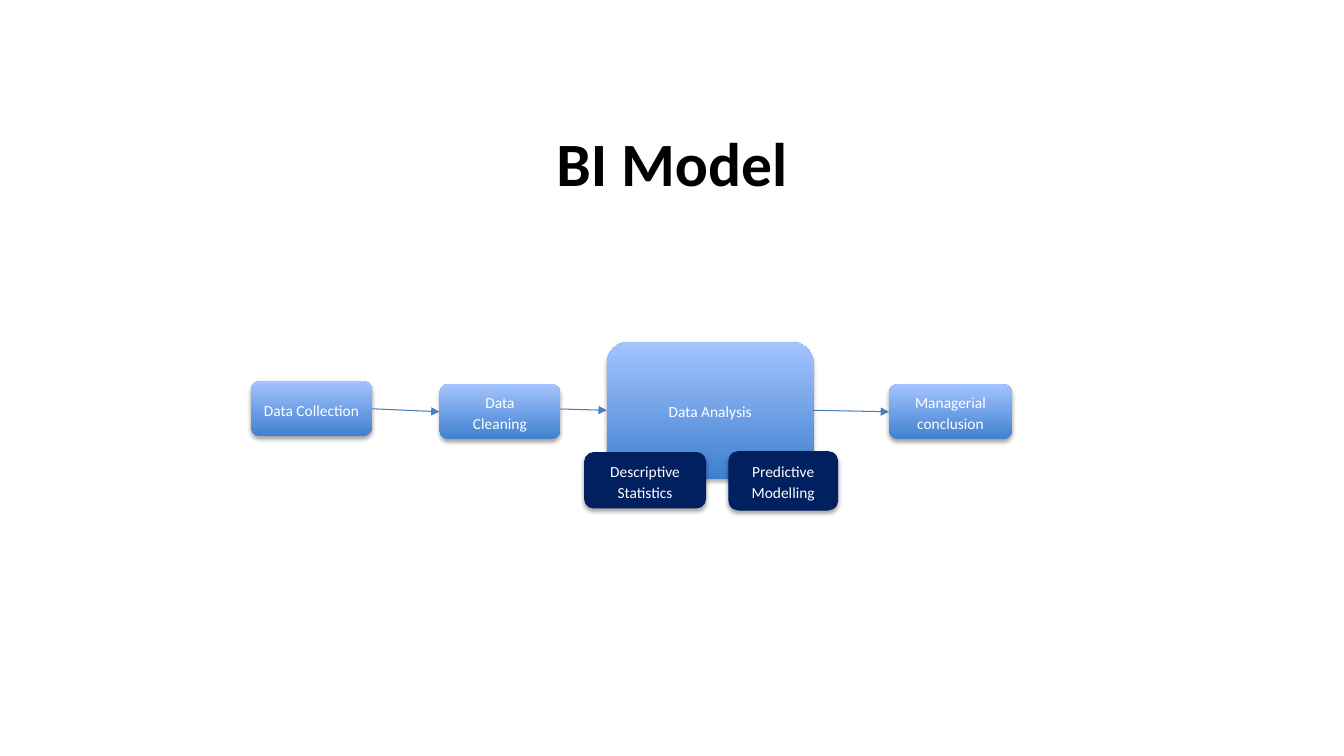
"""Build the BI Model slide: a four-step flow with two analysis methods."""
import pptx
import pptx.dml.color
import pptx.enum.shapes
import pptx.enum.text
import pptx.oxml
import pptx.oxml.ns
import pptx.util

TITLE = "BI Model"
TITLE_AREA = (5, 13.07, 90, 16.67)
STEPS = [
    ("Data Collection", (18.68, 50.4, 9, 7.33)),
    ("Data\nCleaning", (32.7, 50.8, 9, 7.33)),
    ("Data Analysis", (45.15, 45.2, 15.38, 18.13)),
    ("Managerial\nconclusion", (66.15, 50.8, 9.15, 7.33)),
]
METHODS = [
    ("Descriptive Statistics", (43.5, 59.87, 9, 7.33)),
    ("Predictive Modelling", (54.23, 59.73, 8.1, 7.73)),
]
ARROW_HEIGHTS = [(54.07, 54.47), (54.1, 54.27), (54.27, 54.47)]
COLORS = {"title": "000000", "text": "FFFFFF", "bottom": "3F80CE",
          "top": "A4C4FF", "method": "002060", "arrow": "4B7EBC"}
FONT = "Calibri"
WIDTH, HEIGHT = pptx.util.Inches(13.333), pptx.util.Inches(7.5)
SHADOW = (
    '<a:effectLst %s><a:outerShdw blurRad="39370" dist="22860" dir="5400000" rotWithShape="0">'
    '<a:srgbClr val="000000"><a:alpha val="35000"/></a:srgbClr></a:outerShdw></a:effectLst>'
    % pptx.oxml.ns.nsdecls("a"))
NO_EFFECT = "<a:effectLst %s/>" % pptx.oxml.ns.nsdecls("a")
ARROWHEAD = '<a:tailEnd %s type="triangle"/>' % pptx.oxml.ns.nsdecls("a")


def color(name):
    return pptx.dml.color.RGBColor.from_string(COLORS[name])


def across(share):
    return round(WIDTH * share / 100)


def down(share):
    return round(HEIGHT * share / 100)


def place(area):
    left, top, width, height = area
    return across(left), down(top), across(width), down(height)


def write(shape, text, size, color_name, bold=False):
    frame = shape.text_frame
    frame.text = text
    frame.word_wrap = True
    frame.vertical_anchor = pptx.enum.text.MSO_ANCHOR.MIDDLE
    for paragraph in frame.paragraphs:
        paragraph.alignment = pptx.enum.text.PP_ALIGN.CENTER
        for run in paragraph.runs:
            run.font.name = FONT
            run.font.size = pptx.util.Pt(size)
            run.font.bold = bold
            run.font.color.rgb = color(color_name)


def add_box(shapes, text, area):
    box = shapes.add_shape(
        pptx.enum.shapes.MSO_SHAPE.ROUNDED_RECTANGLE, *place(area))
    write(box, text, 11, "text")
    for paragraph in box.text_frame.paragraphs:
        paragraph.line_spacing = 1.15
    return box


def add_shadow(box):
    box._element.spPr.append(pptx.oxml.parse_xml(SHADOW))


def add_step(shapes, text, area):
    box = add_box(shapes, text, area)
    box.fill.gradient()
    box.fill.gradient_angle = 90
    for stop, name, position in zip(box.fill.gradient_stops, ("bottom", "top"), (0, 1)):
        stop.color.rgb = color(name)
        stop.position = position
    box.line.fill.background()
    add_shadow(box)
    return box


def add_method(shapes, text, area):
    box = add_box(shapes, text, area)
    box.fill.solid()
    box.fill.fore_color.rgb = color("method")
    box.line.color.rgb = color("method")
    box.line.width = pptx.util.Pt(0.75)
    add_shadow(box)


def add_arrow(shapes, source, target, heights):
    start, end = heights
    arrow = shapes.add_connector(
        pptx.enum.shapes.MSO_CONNECTOR.STRAIGHT,
        source.left + source.width, down(start), target.left, down(end))
    arrow.line.color.rgb = color("arrow")
    arrow.line.width = pptx.util.Pt(0.75)
    arrow.line._get_or_add_ln().append(pptx.oxml.parse_xml(ARROWHEAD))
    arrow._element.spPr.append(pptx.oxml.parse_xml(NO_EFFECT))


def main():
    presentation = pptx.Presentation()
    presentation.slide_width, presentation.slide_height = WIDTH, HEIGHT
    slide = presentation.slides.add_slide(presentation.slide_layouts[5])
    title = slide.shapes.title
    title.left, title.top, title.width, title.height = place(TITLE_AREA)
    write(title, TITLE, 44, "title", bold=True)

    flow = slide.shapes.add_group_shape().shapes
    steps = [add_step(flow, text, area) for text, area in STEPS]
    steps[0].text_frame.paragraphs[0].space_after = pptx.util.Pt(10)
    for text, area in METHODS:
        add_method(flow, text, area)
    for source, target, heights in zip(steps, steps[1:], ARROW_HEIGHTS):
        add_arrow(flow, source, target, heights)
    presentation.save("out.pptx")


if __name__ == "__main__":
    main()
